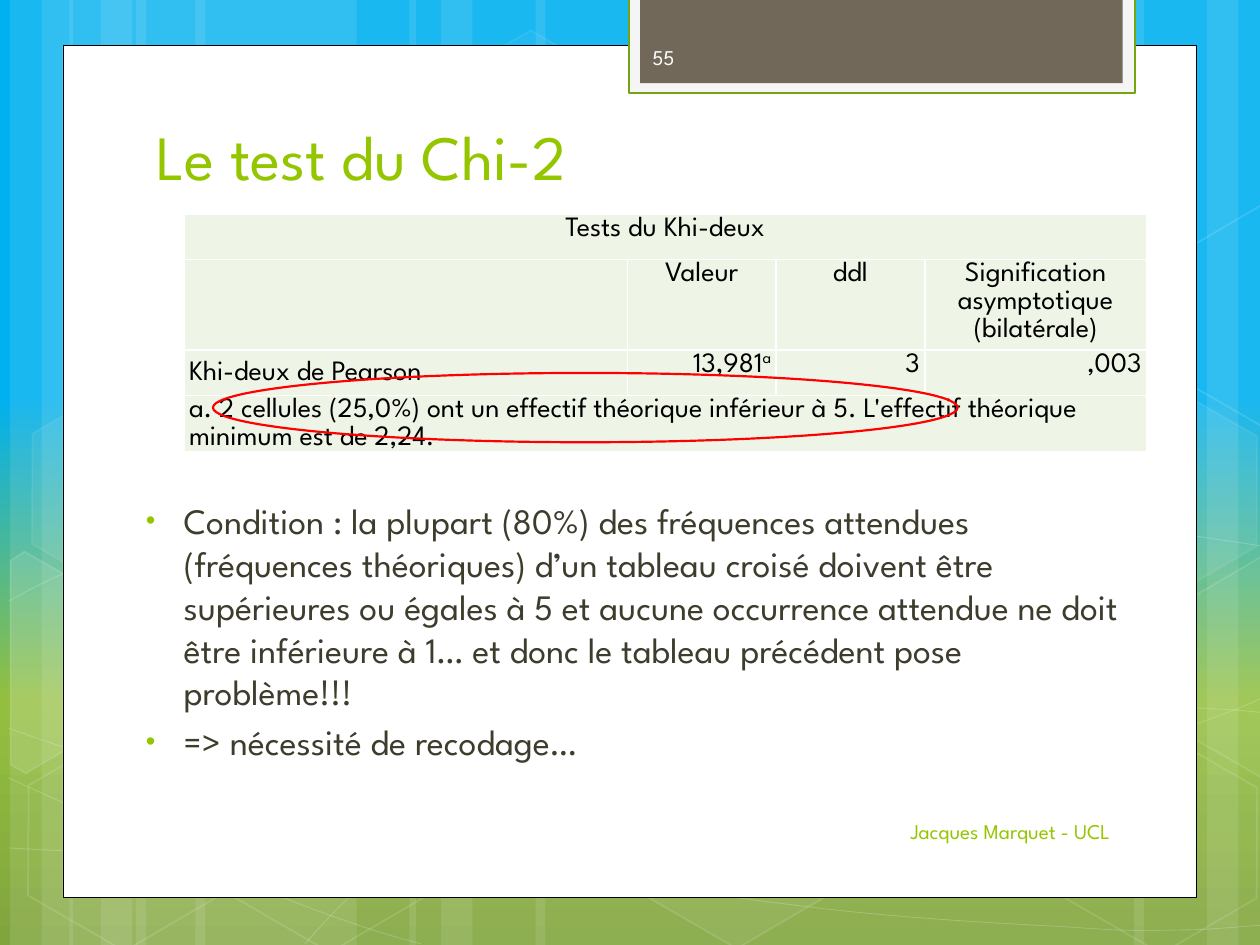
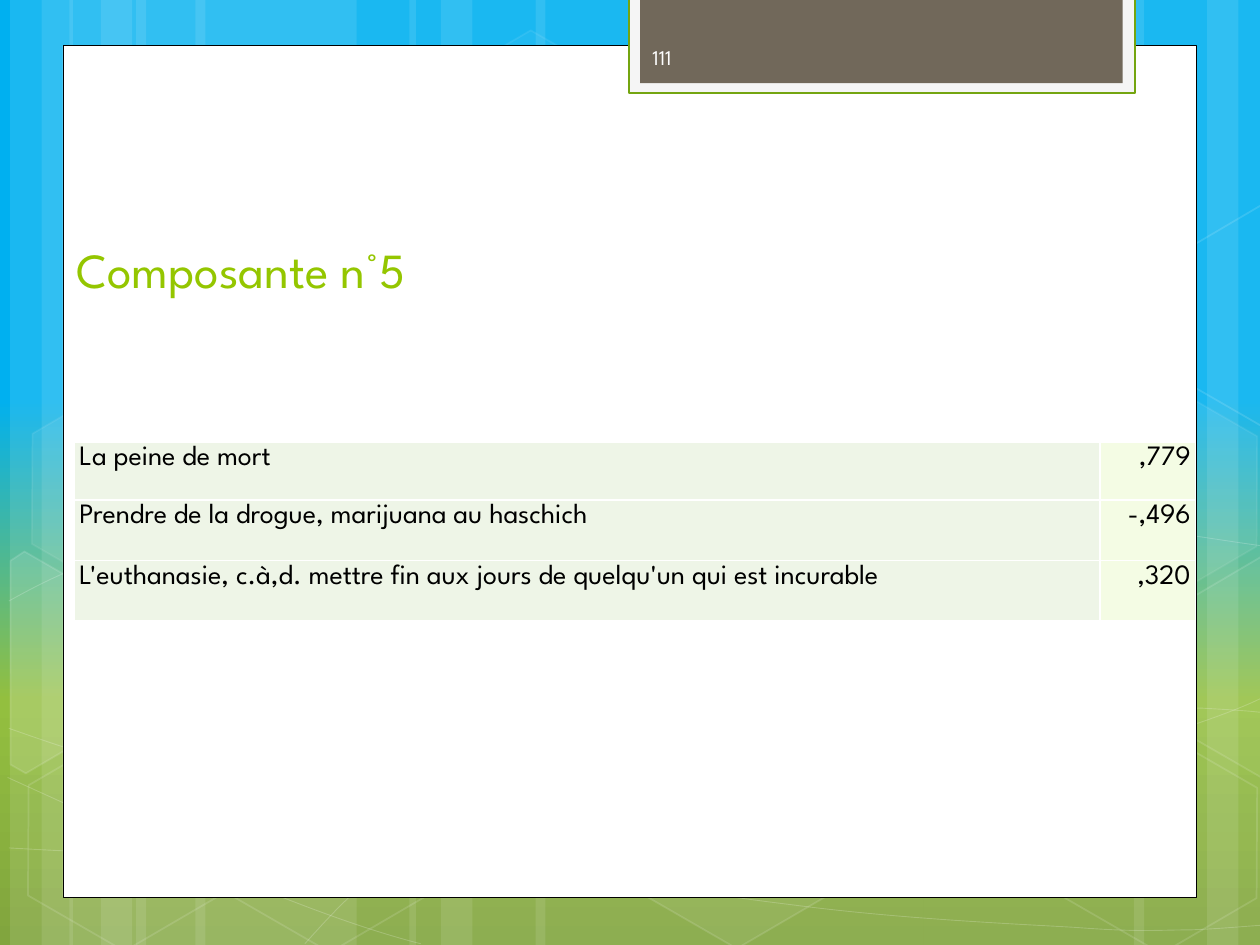
from itertools import product

from lxml.etree import SubElement
from pptx import Presentation
from pptx.dml.color import RGBColor
from pptx.enum.shapes import MSO_SHAPE
from pptx.enum.text import MSO_ANCHOR, PP_ALIGN
from pptx.oxml.ns import qn
from pptx.util import Pt

PX = 9144
FONT = "League Spartan"
COLORS = {
    "white": "FFFFFF", "black": "000000", "green": "94C600", "body": "3E3D2D",
    "tab": "71685A", "tab_rim": "F5F5F5", "tab_line": "74A510", "number": "FEFEFE",
    "cell": "EEF5E7", "score": "F4FCE4", "red": "FF0000",
    "sky": "00B0F0", "leaf": "93BF3F", "grass": "81A53E",
}
SKY_TO_GRASS = [(0, "sky"), (42, "sky"), (74, "leaf"), (100, "grass")]
BANDS = [
    (108, 175), (8, 50), (33, 83), (155, 175), (55, 50), (80, 83),
    (733, 175), (958, 50), (900, 83), (425, 308), (325, 50), (350, 83),
]
CURVES = [
    [(7, 673), (61, 676), (115, 679), (190, 678), (265, 677), (358, 675), (458, 665),
     (558, 655), (700, 636), (792, 617), (883, 598), (977, 568), (1007, 551)],
    [(7, 477), (36, 461), (65, 446), (121, 431), (178, 416), (259, 394), (347, 387),
     (436, 380), (544, 379), (654, 387), (764, 395), (947, 426), (1007, 434)],
    [(6, 617), (127, 672), (247, 727), (334, 749)],
    [(7, 578), (38, 589), (70, 600), (128, 616), (186, 631), (273, 656), (357, 673),
     (440, 690), (545, 708), (628, 718), (711, 729), (800, 733), (853, 736),
     (905, 740), (919, 738), (945, 738), (971, 737), (989, 735), (1007, 734)],
    [(242, 749), (260, 729), (278, 709), (302, 691), (326, 673), (360, 653), (388, 639),
     (416, 625), (433, 619), (470, 609), (506, 599), (573, 585), (608, 578),
     (644, 571), (649, 571), (680, 569), (711, 566), (760, 563), (794, 562),
     (829, 561), (886, 562), (886, 562), (908, 562), (931, 562), (953, 562),
     (971, 563), (988, 564), (997, 565), (1006, 566), (1003, 565), (1006, 566)],
]
HEXAGONS = [
    (334, 36, 4, 8), (497, 589, 6, 12), (11, 591, 0, 12), (14, 312, 7, 8),
    (174, 592, 0, 12), (834, 593, 0, 12), (834, 314, 7, 8),
]
LEFT_CUT = [(0, 12), (6, 0), (94, 0), (138, 76), (95, 152), (81, 152)]
RIGHT_CUT = [(0, 76), (43, 0), (52, 0), (136, 145), (131, 152), (43, 152)]
CUT_HEXAGONS = [
    (-33, 459, LEFT_CUT, 10), (917, 444, RIGHT_CUT, 4), (917, 165, RIGHT_CUT, 0),
]


def emu(*lengths):
    return [round(n * PX) for n in lengths]


def rgb(name):
    return RGBColor.from_string(COLORS[name])


def set_alpha(el, percent):
    SubElement(el.find(qn("a:solidFill")).find(qn("a:srgbClr")), qn("a:alpha"),
               val=str(percent * 1000))


def paint(sp, fill=None, line=None, width=1, fill_alpha=100, line_alpha=100):
    sp.shadow.inherit = False
    if fill:
        sp.fill.solid()
        sp.fill.fore_color.rgb = rgb(fill)
        if fill_alpha < 100:
            set_alpha(sp.element.spPr, fill_alpha)
    else:
        sp.fill.background()
    if line:
        sp.line.color.rgb = rgb(line)
        sp.line.width = Pt(width)
        if line_alpha < 100:
            set_alpha(sp.element.spPr.find(qn("a:ln")), line_alpha)
    else:
        sp.line.fill.background()


def add_shape(s, kind, box, **style):
    sp = s.shapes.add_shape(kind, *emu(*box))
    paint(sp, **style)
    return sp


def add_outline(s, x, y, points, closed, **style):
    moved = [(x + a, y + b) for a, b in points]
    builder = s.shapes.build_freeform(*moved[0], scale=PX)
    builder.add_line_segments(moved[1:], close=closed)
    sp = builder.convert_to_shape()
    paint(sp, **style)
    return sp


def bend(sp):
    outline = sp.element.spPr.find(".//" + qn("a:moveTo")).getparent()
    segments = outline.findall(qn("a:lnTo"))
    for i in range(0, len(segments), 3):
        curve = SubElement(outline, qn("a:cubicBezTo"))
        for segment in segments[i:i + 3]:
            curve.append(segment[0])
            outline.remove(segment)


def add_run(p, text, size, color, raised=False):
    r = p.add_run()
    r.text = text
    r.font.size = Pt(size)
    r.font.name = FONT
    r.font.color.rgb = rgb(color)
    if raised:
        r._r.get_or_add_rPr().set("baseline", "30000")


def indent(p, left, first=0, right=0):
    pPr = p._p.get_or_add_pPr()
    for key, value in (("marL", left), ("marR", right), ("indent", first)):
        pPr.set(key, str(value * PX))
    return pPr


def add_bullet(p):
    pPr = indent(p, 38, -30)
    SubElement(SubElement(pPr, qn("a:buClr")), qn("a:srgbClr"), val=COLORS["green"])
    SubElement(pPr, qn("a:buSzPct"), val="76000")
    SubElement(pPr, qn("a:buFont"), typeface="Arial")
    SubElement(pPr, qn("a:buChar"), char="•")


def add_text(s, box, texts, size, color, anchor=MSO_ANCHOR.TOP, align=PP_ALIGN.LEFT, bullets=False):
    tf = s.shapes.add_textbox(*emu(*box)).text_frame
    tf.word_wrap = True
    tf.vertical_anchor = anchor
    for i, text in enumerate(texts):
        p = tf.add_paragraph() if i else tf.paragraphs[0]
        p.alignment = align
        if bullets:
            add_bullet(p)
        if i:
            p.space_before = Pt(4)
        add_run(p, text, size, color)


def add_title(s, box, text, size):
    add_text(s, box, [text], size, "green", MSO_ANCHOR.BOTTOM)


def fill_background(s):
    fill = s.background.fill
    fill.gradient()
    fill.gradient_angle = 270
    stops = s.element.find(".//" + qn("a:gsLst"))
    for stop in list(stops):
        stops.remove(stop)
    for position, color in SKY_TO_GRASS:
        stop = SubElement(stops, qn("a:gs"), pos=str(position * 1000))
        SubElement(stop, qn("a:srgbClr"), val=COLORS[color])


def draw_scenery(s, box):
    x, y, w, h = box
    for left, width in BANDS:
        add_shape(s, MSO_SHAPE.RECTANGLE, (x + left, y, width, h), fill="white", fill_alpha=10)
    for knots in CURVES:
        bend(add_outline(s, x, y, knots, False, line="white", width=0.5, line_alpha=20))
    for left, top, fill_alpha, line_alpha in HEXAGONS:
        sp = add_shape(s, MSO_SHAPE.HEXAGON, (x + left, y + top, 175, 152),
                       fill="white" if fill_alpha else None, fill_alpha=fill_alpha,
                       line="white", line_alpha=line_alpha)
        sp.adjustments[0] = 0.285
        sp.rotation = 30
    for left, top, corners, fill_alpha in CUT_HEXAGONS:
        sp = add_outline(s, x + left, y + top, corners, True,
                         fill="white" if fill_alpha else None, fill_alpha=fill_alpha,
                         line="white", line_alpha=12)
        sp.rotation = 30


def draw_number_tab(s, box, number):
    x, y, w, h = box
    add_shape(s, MSO_SHAPE.RECTANGLE, box, fill="tab_rim", line="tab_line", width=1.25)
    add_shape(s, MSO_SHAPE.RECTANGLE, (x + 9, y, w - 19, h - 8), fill="tab")
    add_text(s, (x + 9, y + 27, 146, 40), [number], 12, "number", MSO_ANCHOR.MIDDLE)


def add_framed_slide(prs, number):
    s = prs.slides.add_slide(prs.slide_layouts[6])
    fill_background(s)
    draw_scenery(s, (0, 0, 1000, 750))
    add_shape(s, MSO_SHAPE.RECTANGLE, (50, 36, 900, 676), fill="white", line="black", width=0.5)
    draw_number_tab(s, (499, -2, 402, 76), number)
    return s


def add_grid(s, left, top, widths, heights):
    box = emu(left, top, sum(widths), sum(heights))
    table = s.shapes.add_table(len(heights), len(widths), *box).table
    table.first_row = table.horz_banding = False
    for column, width in zip(table.columns, widths):
        column.width = width * PX
    for row, height in zip(table.rows, heights):
        row.height = height * PX
    for i, j in product(range(len(heights)), range(len(widths))):
        style_cell(table.cell(i, j), "cell")
    return table


def style_cell(cell, fill):
    cell.margin_left = cell.margin_right = cell.margin_top = cell.margin_bottom = 0
    cell.fill.solid()
    cell.fill.fore_color.rgb = rgb(fill)
    tcPr = cell._tc.get_or_add_tcPr()
    for i, side in enumerate(("lnL", "lnR", "lnT", "lnB")):
        ln = SubElement(tcPr, qn("a:" + side), w=str(Pt(1)))
        SubElement(SubElement(ln, qn("a:solidFill")), qn("a:srgbClr"), val=COLORS["white"])
        tcPr.insert(i, ln)


def write_cell(cell, text, align, spacing, note=""):
    p = cell.text_frame.paragraphs[0]
    indent(p, 4, right=4)
    p.alignment = align
    p.line_spacing = spacing
    add_run(p, text, 16, "black")
    if note:
        add_run(p, note, 16, "black", raised=True)


def draw_chi2_table(s, box):
    x, y, w, h = box
    table = add_grid(s, x, y, (352, 118, 118, w - 588), (36, 72, 36, h - 144))
    for row in (0, 3):
        table.cell(row, 0).merge(table.cell(row, 3))
    left, center, right = PP_ALIGN.LEFT, PP_ALIGN.CENTER, PP_ALIGN.RIGHT
    entries = [
        (0, 0, "Tests du Khi-deux", center, ""),
        (1, 1, "Valeur", center, ""),
        (1, 2, "ddl", center, ""),
        (1, 3, "Signification asymptotique (bilatérale)", center, ""),
        (2, 0, "Khi-deux de Pearson", left, ""),
        (2, 1, "13,981", right, "a"),
        (2, 2, "3", right, ""),
        (2, 3, ",003", right, ""),
        (3, 0, "a. 2 cellules (25,0%) ont un effectif théorique inférieur à 5. "
               "L'effectif théorique minimum est de 2,24.", left, ""),
    ]
    for row, column, text, align, note in entries:
        write_cell(table.cell(row, column), text, align, Pt(16), note)
    table.cell(2, 0).vertical_anchor = MSO_ANCHOR.MIDDLE
    add_shape(s, MSO_SHAPE.OVAL, (x + 23, y + 126, 591, 55), line="red", width=1.25)


def draw_scores_table(s, box, scores):
    x, y, w, h = box
    table = add_grid(s, x, y, (w - 76, 76), (h - 96, 48, 48))
    for i, (label, score) in enumerate(scores):
        write_cell(table.cell(i, 0), label, PP_ALIGN.LEFT, 1.15)
        write_cell(table.cell(i, 1), score, PP_ALIGN.RIGHT, 1.15)
        table.cell(i, 1).fill.fore_color.rgb = rgb("score")


def build_chi2_slide(prs):
    s = add_framed_slide(prs, "55")
    add_title(s, (114, 92, 768, 66), "Le test du Chi-2", 36)
    add_text(s, (98, 391, 811, 205), [
        "Condition : la plupart (80%) des fréquences attendues (fréquences théoriques) "
        "d’un tableau croisé doivent être supérieures ou égales à 5 et aucune occurrence "
        "attendue ne doit être inférieure à 1… et donc le tableau précédent pose problème!!!",
        "=> nécessité de recodage…",
    ], 20.4, "body", bullets=True)
    add_text(s, (508, 640, 383, 40), ["Jacques Marquet - UCL"], 12, "green",
             MSO_ANCHOR.MIDDLE, PP_ALIGN.RIGHT)
    draw_chi2_table(s, (146, 170, 764, 188))


def build_component_slide(prs):
    s = add_framed_slide(prs, "111")
    add_title(s, (51, 155, 622, 87), "Composante n°5", 28)
    draw_scores_table(s, (59, 351, 890, 142), [
        ("La peine de mort", ",779"),
        ("Prendre de la drogue, marijuana au haschich", "-,496"),
        ("L'euthanasie, c.à,d. mettre fin aux jours de quelqu'un qui est incurable", ",320"),
    ])


def main():
    prs = Presentation()
    prs.slide_width, prs.slide_height = emu(1000, 750)
    build_chi2_slide(prs)
    build_component_slide(prs)
    prs.save("out.pptx")


if __name__ == "__main__":
    main()
